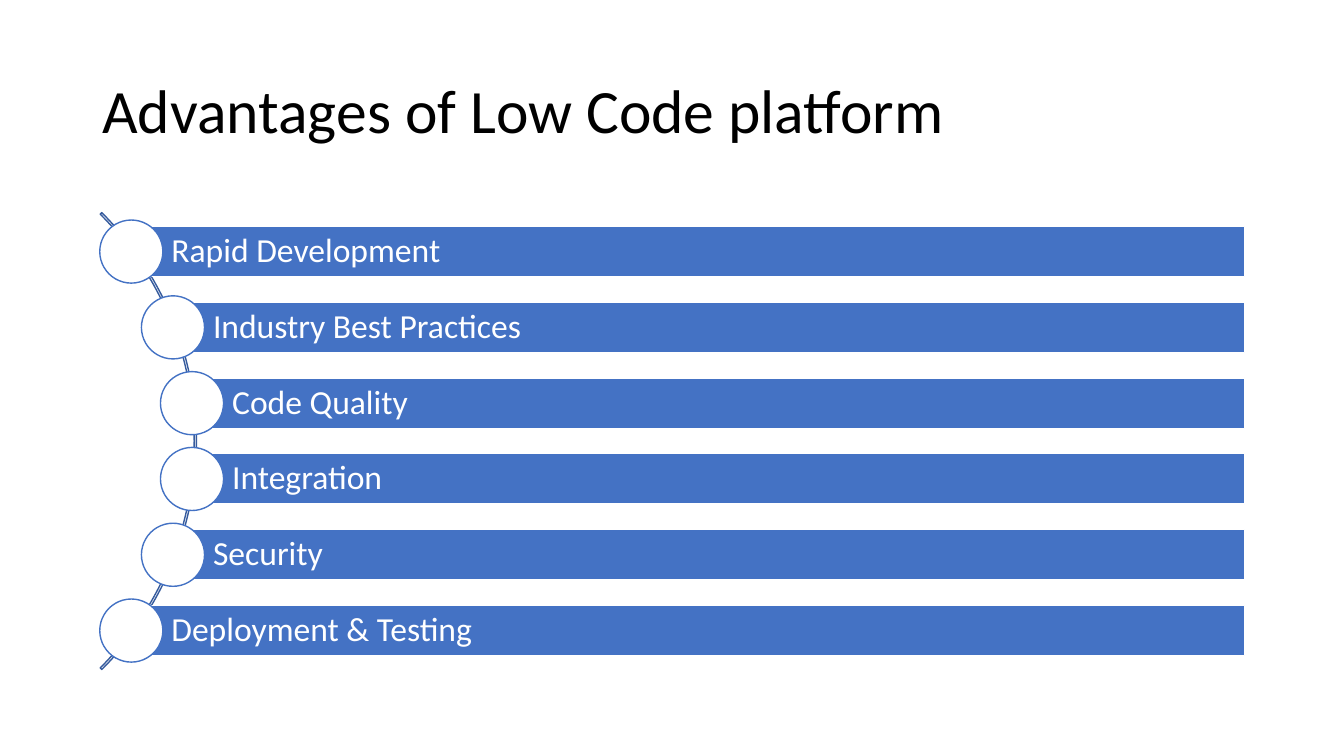
from pptx import Presentation
from pptx import util as u
from pptx.dml.color import RGBColor
from pptx.enum import shapes, text

BLUE, DARK_BLUE, WHITE, BLACK = "4472C4", "365B9D", "FFFFFF", "000000"


def color(value):
    return RGBColor.from_string(value)


class SlideBuilder:
    font = "Calibri"
    line_width = u.Pt(1)

    def __init__(self, slide):
        self.slide = slide

    def add_label(self, shape, wording, size, ink, insets):
        frame = shape.text_frame
        frame.word_wrap = True
        frame.vertical_anchor = text.MSO_ANCHOR.MIDDLE
        left, other = insets
        frame.margin_left = u.Cm(left)
        frame.margin_top = frame.margin_right = frame.margin_bottom = u.Cm(other)
        paragraph = frame.paragraphs[0]
        paragraph.alignment = text.PP_ALIGN.LEFT
        paragraph.line_spacing = 0.9
        run = paragraph.add_run()
        run.text = wording
        run.font.name = self.font
        run.font.size = u.Pt(size)
        run.font.color.rgb = color(ink)

    def title(self, wording, left, top, width, height):
        box = self.slide.shapes.add_textbox(*map(u.Cm, (left, top, width, height)))
        self.add_label(box, wording, 44, BLACK, (0.25, 0.13))

    def shape(self, kind, left, top, width, height, fill, line):
        shape = self.slide.shapes.add_shape(kind, *map(u.Cm, (left, top, width, height)))
        shape.shadow.inherit = False
        if fill:
            shape.fill.solid()
            shape.fill.fore_color.rgb = color(fill)
        else:
            shape.fill.background()
        shape.line.color.rgb = color(line)
        shape.line.width = self.line_width
        return shape

    def arc(self, left, middle, size):
        arc = self.shape(shapes.MSO_SHAPE.BLOCK_ARC, left, middle - size / 2,
                         size, size, None, DARK_BLUE)
        for index, value in enumerate((189, 27, 0.0034)):
            arc.adjustments[index] = value

    def bar(self, wording, left, right, middle, height):
        bar = self.shape(shapes.MSO_SHAPE.RECTANGLE, left, middle - height / 2,
                         right - left, height, BLUE, WHITE)
        self.add_label(bar, wording, 24, WHITE, (1.01, 0.17))

    def circle(self, center, middle, size):
        self.shape(shapes.MSO_SHAPE.OVAL, center - size / 2, middle - size / 2,
                   size, size, WHITE, BLUE)


def main():
    presentation = Presentation()
    presentation.slide_width = u.Cm(33.87)
    presentation.slide_height = u.Cm(19.05)
    builder = SlideBuilder(presentation.slides.add_slide(presentation.slide_layouts[6]))
    builder.title("Advantages of Low Code platform", 2.33, 1.01, 29.21, 3.68)

    advantages = ["Rapid Development", "Industry Best Practices", "Code Quality",
                  "Integration", "Security", "Deployment & Testing"]
    indents = [3.31, 4.36, 4.84]
    first_middle, pitch = 6.34, 1.91
    builder.arc(-11.33, first_middle + pitch * (len(advantages) - 1) / 2, 16.28)
    for index, (wording, left) in enumerate(zip(advantages, indents + indents[::-1])):
        middle = first_middle + index * pitch
        builder.bar(wording, left, 31.37, middle, 1.27)
        builder.circle(left, middle, 1.59)

    presentation.save("out.pptx")


if __name__ == "__main__":
    main()
